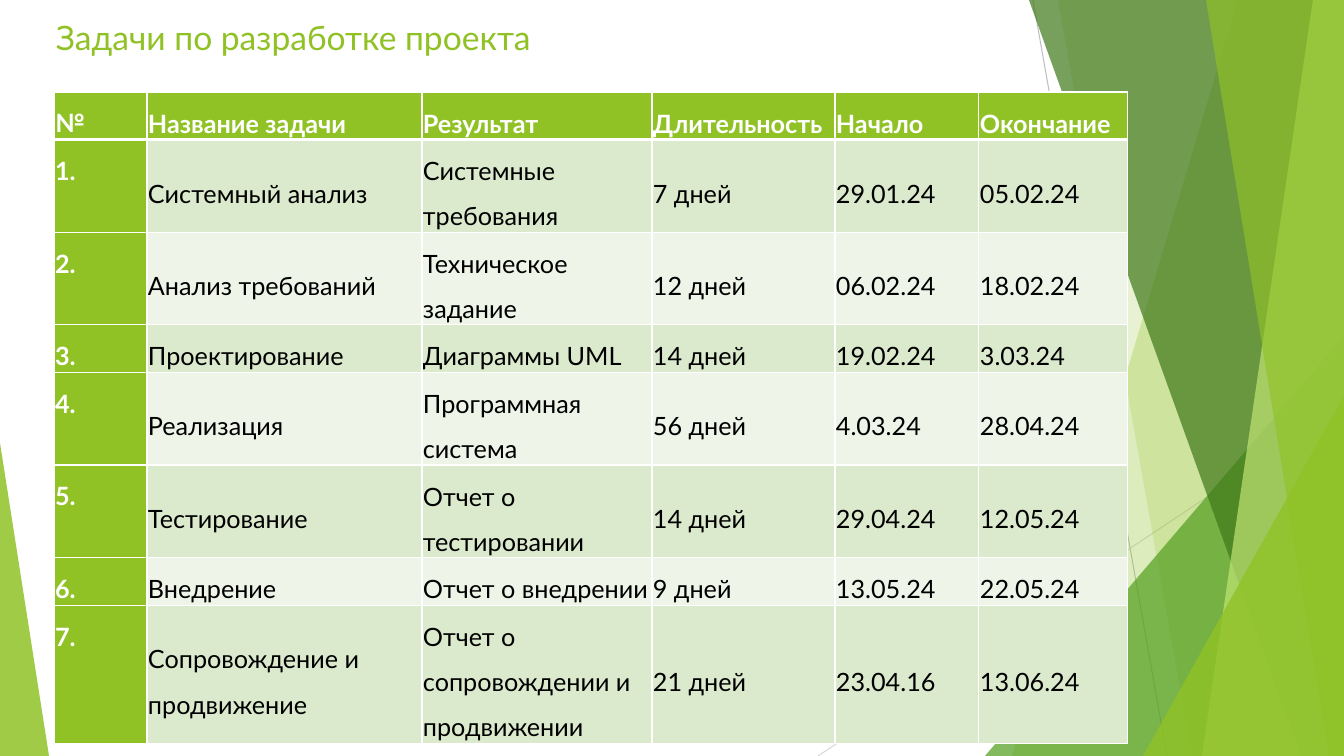
from lxml.etree import SubElement
from pptx import Presentation
from pptx.dml.color import RGBColor
from pptx.enum.shapes import MSO_CONNECTOR as Connector, MSO_SHAPE as Preset
from pptx.enum.text import MSO_ANCHOR as Anchor
from pptx.oxml.ns import qn
from pptx.util import Emu, Pt

FONT = "Lato"
WIDTH, HEIGHT = 1344, 756
COLORS = {
    "green": "90C226", "leaf": "54A021", "forest": "3F7819", "lime": "C0E474",
    "odd": "DBE9CD", "even": "EEF4E8", "white": "FFFFFF", "black": "000000",
    "gray": "BFBFBF", "silver": "D9D9D9",
}

TITLE = "Задачи по разработке проекта"
HEADER = ("№", "Название задачи", "Результат", "Длительность", "Начало", "Окончание")
TASKS = [
    ("Системный анализ", "Системные требования", "7 дней", "29.01.24", "05.02.24"),
    ("Анализ требований", "Техническое задание", "12 дней", "06.02.24", "18.02.24"),
    ("Проектирование", "Диаграммы UML", "14 дней", "19.02.24", "3.03.24"),
    ("Реализация", "Программная система", "56 дней", "4.03.24", "28.04.24"),
    ("Тестирование", "Отчет о тестировании", "14 дней", "29.04.24", "12.05.24"),
    ("Внедрение", "Отчет о внедрении", "9 дней", "13.05.24", "22.05.24"),
    ("Сопровождение и продвижение", "Отчет о сопровождении и продвижении",
     "21 дней", "23.04.16", "13.06.24"),
]
COLUMN_WIDTHS = (93, 275, 230, 183, 144, 149)
ROW_LINES = (1, 2, 2, 1, 2, 2, 1, 3)
LINE_HEIGHT = 46
TABLE_LEFT, TABLE_TOP = 54, 92

RAYS = [
    ((1033, 0), (1167, HEIGHT), "gray"),
    ((WIDTH, 406), (818, HEIGHT), "silver"),
]
BANDS = [
    ("band", 1238, 1012, "green", 30),
    ("band", 1058, 1192, "green", 20),
    ("triangle", (985, 336, 359, 420), 1, "leaf", 72),
    ("band", 1029, 1301, "forest", 70),
    ("band", 1313, 1202, "lime", 70),
    ("band", 1206, 1329, "green", 65),
    ("triangle", (1143, 396, 201, 360), 1, "green", 80),
    ("triangle", (0, 443, 49, 313), 0, "green", 85),
]


def px(value):
    return Emu(round(value * 914400 / 100.8))


def rgb(name):
    return RGBColor.from_string(COLORS[name])


def style_text(para, size, color, bold=False):
    for span in para.runs:
        span.font.name = FONT
        span.font.size = Pt(size)
        span.font.bold = bold
        span.font.color.rgb = rgb(color)


def add_ray(page, start, end, color):
    ray = page.shapes.add_connector(Connector.STRAIGHT, *map(px, start + end))
    ray.line.color.rgb = rgb(color)
    ray.line.width = Pt(0.75)
    SubElement(ray.element.spPr, qn("a:effectLst"))


def add_band(page, top, bottom):
    builder = page.shapes.build_freeform(px(top), px(0))
    corners = [(WIDTH, 0), (WIDTH, HEIGHT), (bottom, HEIGHT)]
    builder.add_line_segments([(px(x), px(y)) for x, y in corners], close=True)
    return builder.convert_to_shape()


def add_triangle(page, frame, apex):
    triangle = page.shapes.add_shape(Preset.ISOSCELES_TRIANGLE, *map(px, frame))
    triangle.adjustments[0] = apex
    return triangle


def paint(shape, color, opacity):
    shape.shadow.inherit = False
    shape.line.fill.background()
    shape.fill.solid()
    shape.fill.fore_color.rgb = rgb(color)
    tint = shape.element.spPr.find(qn("a:solidFill"))[0]
    SubElement(tint, qn("a:alpha"), val=str(opacity * 1000))


def add_backdrop(page):
    for ray in RAYS:
        add_ray(page, *ray)
    makers = {"band": add_band, "triangle": add_triangle}
    for kind, first, second, color, opacity in BANDS:
        paint(makers[kind](page, first, second), color, opacity)


def add_title(page):
    box = page.shapes.add_textbox(px(46), px(12), px(948), px(151))
    box.text_frame.word_wrap = True
    box.text_frame.text = TITLE
    style_text(box.text_frame.paragraphs[0], 24, "green")


def add_borders(cell, widths):
    properties = cell._tc.get_or_add_tcPr()
    for side, width in widths.items():
        edge = SubElement(properties, qn("a:ln" + side), w=str(Pt(width)))
        fill = SubElement(edge, qn("a:solidFill"))
        SubElement(fill, qn("a:srgbClr"), val=COLORS["white"])


def fill_cell(cell, text, row, column):
    heading = row == 0 or column == 0
    add_borders(cell, {"L": 1, "R": 1, "T": 3 if row == 1 else 1, "B": 3 if row == 0 else 1})
    cell.fill.solid()
    cell.fill.fore_color.rgb = rgb("green" if heading else "odd" if row % 2 else "even")
    cell.margin_left = cell.margin_right = cell.margin_top = cell.margin_bottom = px(1)
    cell.vertical_anchor = Anchor.MIDDLE if column else Anchor.TOP
    cell.text_frame.text = text
    para = cell.text_frame.paragraphs[0]
    para.line_spacing = 1.5
    style_text(para, 18, "white" if heading else "black", heading)


def add_task_table(page):
    rows = [HEADER] + [(f"{number}.", *task) for number, task in enumerate(TASKS, 1)]
    table = page.shapes.add_table(
        len(rows), len(HEADER), px(TABLE_LEFT), px(TABLE_TOP),
        px(sum(COLUMN_WIDTHS)), px(LINE_HEIGHT * sum(ROW_LINES))).table
    table.horz_banding = False
    for column, width in zip(table.columns, COLUMN_WIDTHS):
        column.width = px(width)
    for row, lines in zip(table.rows, ROW_LINES):
        row.height = px(LINE_HEIGHT * lines)
    for row, texts in enumerate(rows):
        for column, text in enumerate(texts):
            fill_cell(table.cell(row, column), text, row, column)


def main():
    deck = Presentation()
    deck.slide_width, deck.slide_height = px(WIDTH), px(HEIGHT)
    page = deck.slides.add_slide(deck.slide_layouts[6])
    add_backdrop(page)
    add_title(page)
    add_task_table(page)
    deck.save("out.pptx")


if __name__ == "__main__":
    main()
